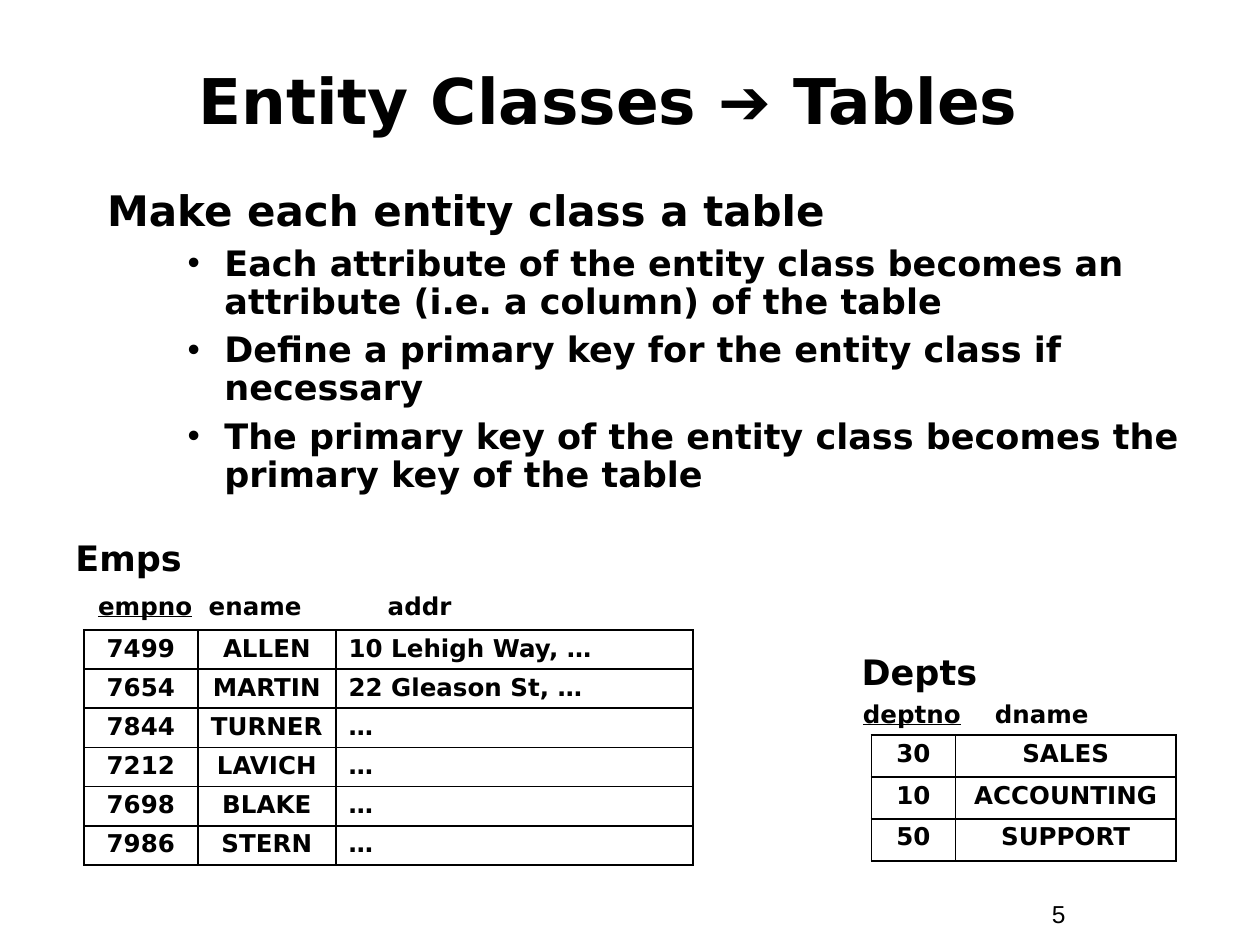
from pptx import Presentation
from pptx.dml.color import RGBColor
from pptx.enum import text
from pptx.oxml import ns, xmlchemy
from pptx.util import Pt

BLACK = RGBColor(0, 0, 0)
WHITE = RGBColor(255, 255, 255)
SANS, ARIAL = "DejaVu Sans", "Arial"
CENTER, LEFT = text.PP_ALIGN.CENTER, text.PP_ALIGN.LEFT


def sub(parent, tag, **attributes):
    element = xmlchemy.OxmlElement(tag)
    for key, value in attributes.items():
        element.set(key, str(value))
    parent.append(element)
    return element


def style(run, size, name=SANS, bold=True):
    run.font.name, run.font.size, run.font.bold = name, Pt(size), bold
    run.font.color.rgb = BLACK


def place(shape, box):
    shape.left, shape.top, shape.width, shape.height = map(Pt, box)


def fill_title(title, box):
    place(title, box)
    frame = title.text_frame
    frame.auto_size = text.MSO_AUTO_SIZE.NONE
    frame.vertical_anchor = text.MSO_ANCHOR.MIDDLE
    frame.margin_right = Pt(32.4)  # sets the heading slightly left of centre
    heading = frame.paragraphs[0]
    heading.alignment = CENTER
    for words, font in (("Entity Classes ", SANS), ("➔", ARIAL), (" Tables", SANS)):
        run = heading.add_run()
        run.text = words
        style(run, 36, font)


def fill_rules(body, box, lead, rules):
    place(body, box)
    frame = body.text_frame
    frame.auto_size = text.MSO_AUTO_SIZE.NONE
    frame.text = "\n".join([lead, *rules])
    for number, rule in enumerate(frame.paragraphs):
        props = rule._p.get_or_add_pPr()
        if number == 0:
            rule.space_before = Pt(0)
            props.set("marL", "0")
            props.set("indent", "0")
            sub(props, "a:buNone")
        else:
            rule.level = 2
            rule.line_spacing = 0.9
            rule.space_before = Pt(6.2)
            props.set("marL", str(Pt(67)))
            props.set("indent", str(Pt(-21)))
            sub(sub(props, "a:buClr"), "a:srgbClr", val=BLACK)
            sub(props, "a:buChar", char="•")
        style(rule.runs[0], 20 if number else 24)


def add_label(slide, box, words, size, name=SANS, bold=True):
    label = slide.shapes.add_textbox(*map(Pt, box))
    label.text_frame.word_wrap = True
    line = label.text_frame.paragraphs[0]
    line.text = words
    style(line.runs[0], size, name, bold)


def add_column_names(slide, box, stops, names):
    """Names is a list of (words, underlined); stops are tab positions."""
    heading = slide.shapes.add_textbox(*map(Pt, box))
    heading.text_frame.word_wrap = True
    line = heading.text_frame.paragraphs[0]
    tabs = sub(line._p.get_or_add_pPr(), "a:tabLst")
    for stop in stops:
        sub(tabs, "a:tab", pos=Pt(stop), algn="l")
    for words, underlined in names:
        run = line.add_run()
        run.text = words
        style(run, 14)
        run.font.underline = underlined


def outline(cell):
    props = cell._tc.get_or_add_tcPr()
    for position, side in enumerate(("a:lnL", "a:lnR", "a:lnT", "a:lnB")):
        edge = xmlchemy.OxmlElement(side)
        edge.set("w", str(Pt(1.08)))
        sub(sub(edge, "a:solidFill"), "a:srgbClr", val=BLACK)
        props.insert(position, edge)


def add_records(slide, box, widths, alignments, records):
    frame = slide.shapes.add_table(len(records), len(widths), *map(Pt, box))
    table = frame.table
    table.first_row = table.horz_banding = False
    for column, width in zip(table.columns, widths):
        column.width = Pt(width)
    for row, record in zip(table.rows, records):
        row.height = Pt(box[3] / len(records))
        for cell, value, alignment in zip(row.cells, record, alignments):
            cell.text = value
            cell.fill.solid()
            cell.fill.fore_color.rgb = WHITE
            outline(cell)
            line = cell.text_frame.paragraphs[0]
            line.alignment, line.line_spacing = alignment, 0.9
            style(line.runs[0], 14)


def add_emps(slide, left, top):
    add_label(slide, (left, top, 155, 31.5), "Emps", 20)
    add_column_names(slide, (left + 13, top + 31, 294, 24.5), (63.2, 165.5),
                     [("empno", True), ("\tename\taddr", False)])
    add_records(slide, (left + 12, top + 57, 348, 133.2), (65, 79, 204),
                (CENTER, CENTER, LEFT),
                [("7499", "ALLEN", "10 Lehigh Way, …"),
                 ("7654", "MARTIN", "22 Gleason St, …"),
                 ("7844", "TURNER", "…"),
                 ("7212", "LAVICH", "…"),
                 ("7698", "BLAKE", "…"),
                 ("7986", "STERN", "…")])


def add_depts(slide, left, top):
    add_label(slide, (left, top, 155, 31.5), "Depts", 20)
    add_column_names(slide, (left + 0.7, top + 28, 180, 24.5), (75.4, 138.8),
                     [("deptno", True), ("\tdname", False), ("\t", True)])
    add_records(slide, (left + 12.7, top + 52, 174, 72), (48, 126),
                (CENTER, CENTER),
                [("30", "SALES"), ("10", "ACCOUNTING"), ("50", "SUPPORT")])


def main():
    deck = Presentation()
    deck.slide_width, deck.slide_height = Pt(720), Pt(540)
    slide = deck.slides.add_slide(deck.slide_layouts[1])
    title, body = slide.placeholders

    # Heading and rules
    fill_title(title, (24, 24, 672, 66))
    fill_rules(body, (54, 102, 630, 378), "Make each entity class a table", [
        "Each attribute of the entity class becomes an attribute (i.e. a column) of the table",
        "Define a primary key for the entity class if necessary",
        "The primary key of the entity class becomes the primary key of the table"])

    # Example tables
    add_emps(slide, 36, 303)
    add_depts(slide, 485.3, 368)

    # Page number
    add_label(slide, (594, 510, 66, 24.5), "5", 14, ARIAL, False)

    deck.save("out.pptx")


if __name__ == "__main__":
    main()
